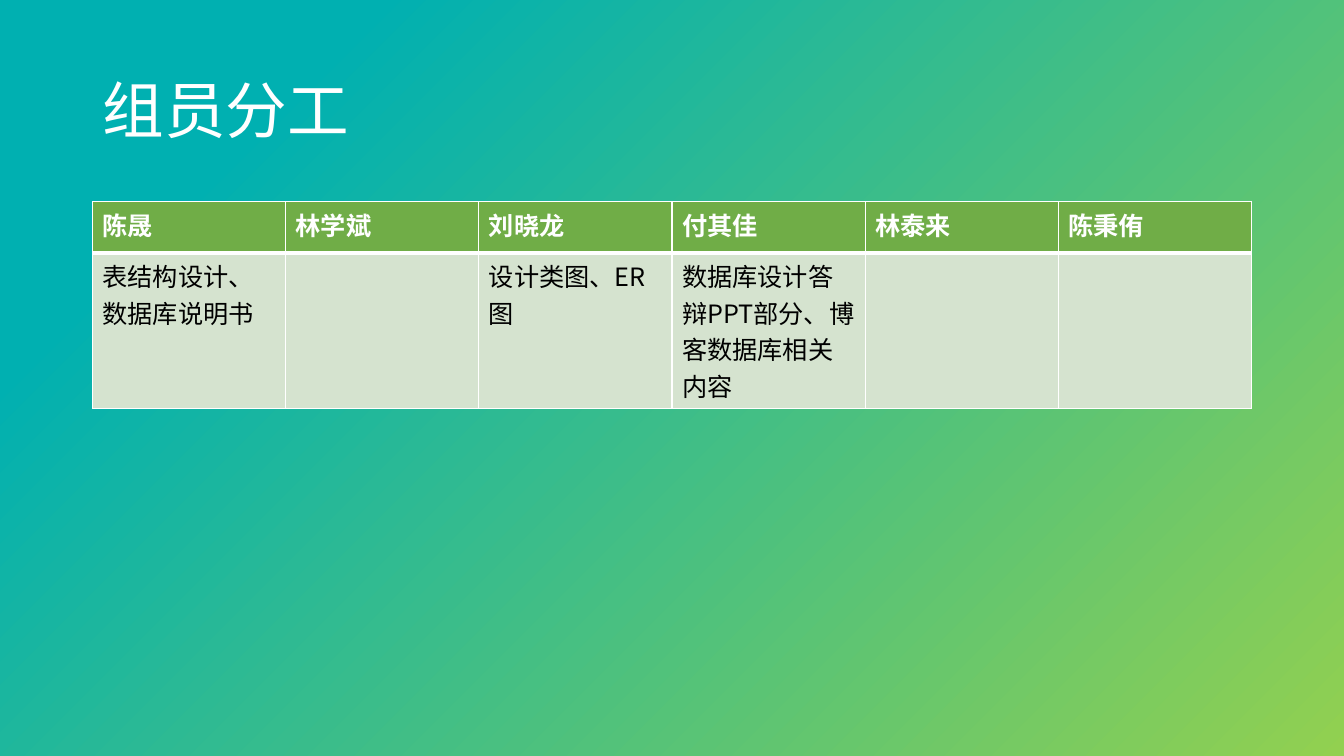
from dataclasses import dataclass

from lxml.etree import SubElement
from pptx import Presentation
from pptx.dml.color import RGBColor as Rgb
from pptx.enum.text import MSO_ANCHOR as Anchor, PP_ALIGN as Align
from pptx.oxml.ns import qn
from pptx.slide import Slide
from pptx.table import _Cell as Cell
from pptx.text.text import TextFrame
from pptx.util import Pt


@dataclass(frozen=True)
class Theme:
    font: str = "Noto Sans CJK SC"
    white: str = "FFFFFF"
    black: str = "000000"
    head: str = "70AD47"
    body: str = "D5E3CF"
    lime: str = "92D050"
    teal: str = "00B0B1"
    title: int = 44
    text: int = 18
    thin: int = 1
    thick: int = 3


@dataclass(frozen=True)
class Member:
    name: str
    task: str = ""


@dataclass(frozen=True)
class Style:
    fill: str
    ink: str
    bold: bool
    top: int
    base: int


THEME = Theme()
HEAD = Style(THEME.head, THEME.white, True, THEME.thin, THEME.thick)
BODY = Style(THEME.body, THEME.black, False, THEME.thick, THEME.thin)
TEAM = [
    Member("陈晟", "表结构设计、数据库说明书"),
    Member("林学斌"),
    Member("刘晓龙", "设计类图、ER图"),
    Member("付其佳", "数据库设计答辩PPT部分、博客数据库相关内容"),
    Member("林泰来"),
    Member("陈秉侑"),
]
LEFT, WIDTH = 66, 828
ROWS = (36.5, 78.5)


def format_runs(frame: TextFrame, size: int, ink: str, bold: bool) -> None:
    for par in frame.paragraphs:
        for run in par.runs:
            font = run.font
            font.name, font.size, font.bold = THEME.font, Pt(size), bold
            font.color.rgb = Rgb.from_string(ink)
            east = SubElement(run._r.get_or_add_rPr(), qn("a:ea"))
            east.set("typeface", THEME.font)


def add_edges(cell: Cell, style: Style) -> None:
    """Draw the four white borders of a cell."""
    props = cell._tc.get_or_add_tcPr()
    sides = {"L": THEME.thin, "R": THEME.thin, "T": style.top, "B": style.base}
    for side, width in sides.items():
        line = SubElement(props, qn(f"a:ln{side}"), w=str(Pt(width)))
        fill = SubElement(line, qn("a:solidFill"))
        SubElement(fill, qn("a:srgbClr"), val=THEME.white)


def fill_cell(cell: Cell, text: str, style: Style) -> None:
    cell.text_frame.text = text
    format_runs(cell.text_frame, THEME.text, style.ink, style.bold)
    add_edges(cell, style)
    cell.fill.solid()
    cell.fill.fore_color.rgb = Rgb.from_string(style.fill)


def paint_back(slide: Slide) -> None:
    fill = slide.background.fill
    fill.gradient()
    fill.gradient_angle = 135
    stops = ((0, THEME.lime), (0.82, THEME.teal))
    for stop, (place, tint) in zip(fill.gradient_stops, stops):
        stop.position = place
        stop.color.rgb = Rgb.from_string(tint)


def set_title(slide: Slide, text: str) -> None:
    title = slide.shapes.title
    title.left, title.top = Pt(LEFT), Pt(28.8)
    title.width, title.height = Pt(WIDTH), Pt(104.4)
    frame = title.text_frame
    frame.text = text
    frame.vertical_anchor = Anchor.MIDDLE
    par = frame.paragraphs[0]
    par.alignment, par.line_spacing = Align.LEFT, 0.9
    format_runs(frame, THEME.title, THEME.white, False)


def add_team(slide: Slide) -> None:
    table = slide.shapes.add_table(
        len(ROWS), len(TEAM), Pt(LEFT), Pt(144), Pt(WIDTH), Pt(sum(ROWS))
    ).table
    for row, height in zip(table.rows, ROWS):
        row.height = Pt(height)
    for col, member in enumerate(TEAM):
        fill_cell(table.cell(0, col), member.name, HEAD)
        fill_cell(table.cell(1, col), member.task, BODY)


def main() -> None:
    deck = Presentation()
    deck.slide_width, deck.slide_height = Pt(960), Pt(540)
    slide = deck.slides.add_slide(deck.slide_layouts.get_by_name("Title Only"))
    paint_back(slide)
    set_title(slide, "组员分工")
    add_team(slide)
    deck.save("out.pptx")


if __name__ == "__main__":
    main()
